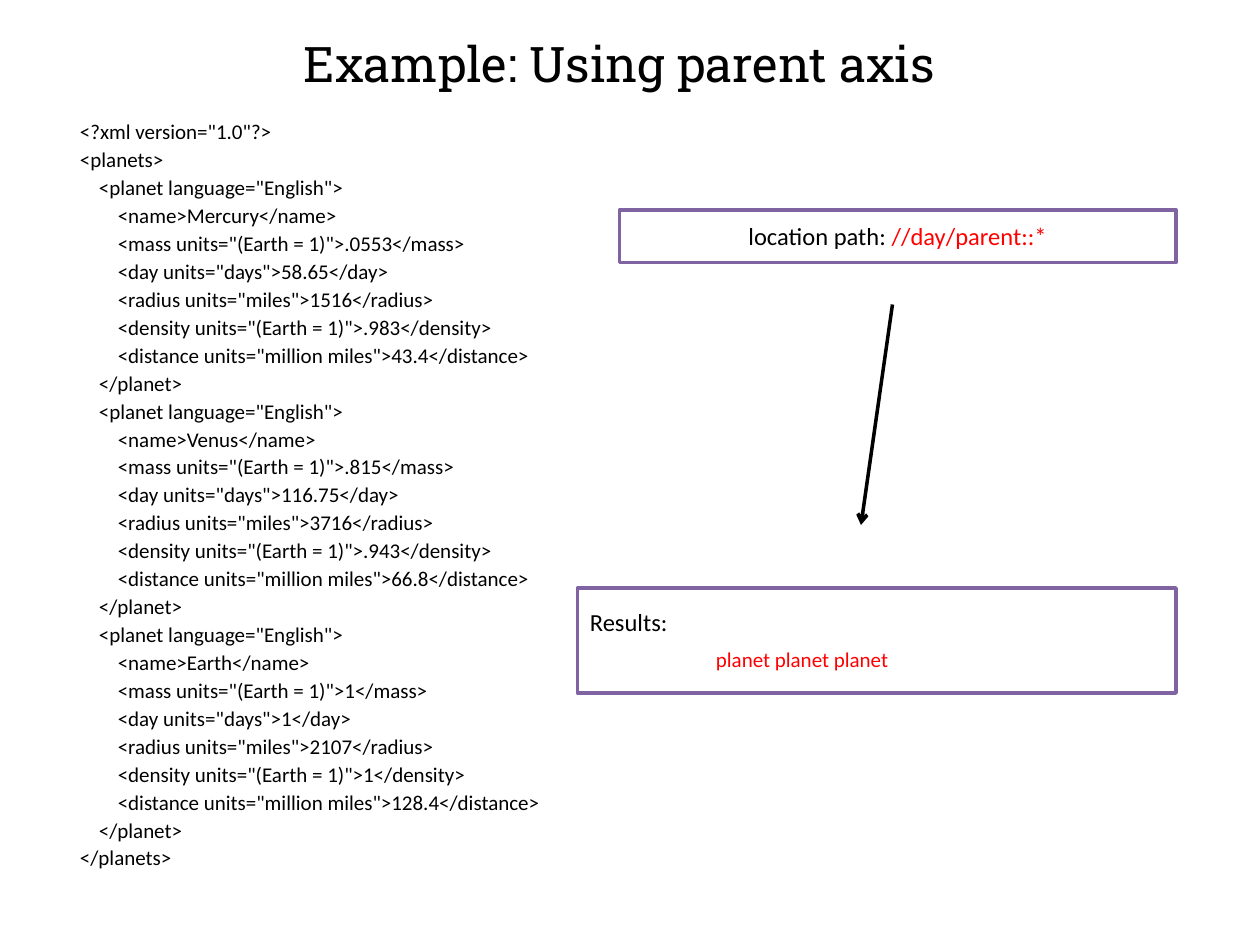
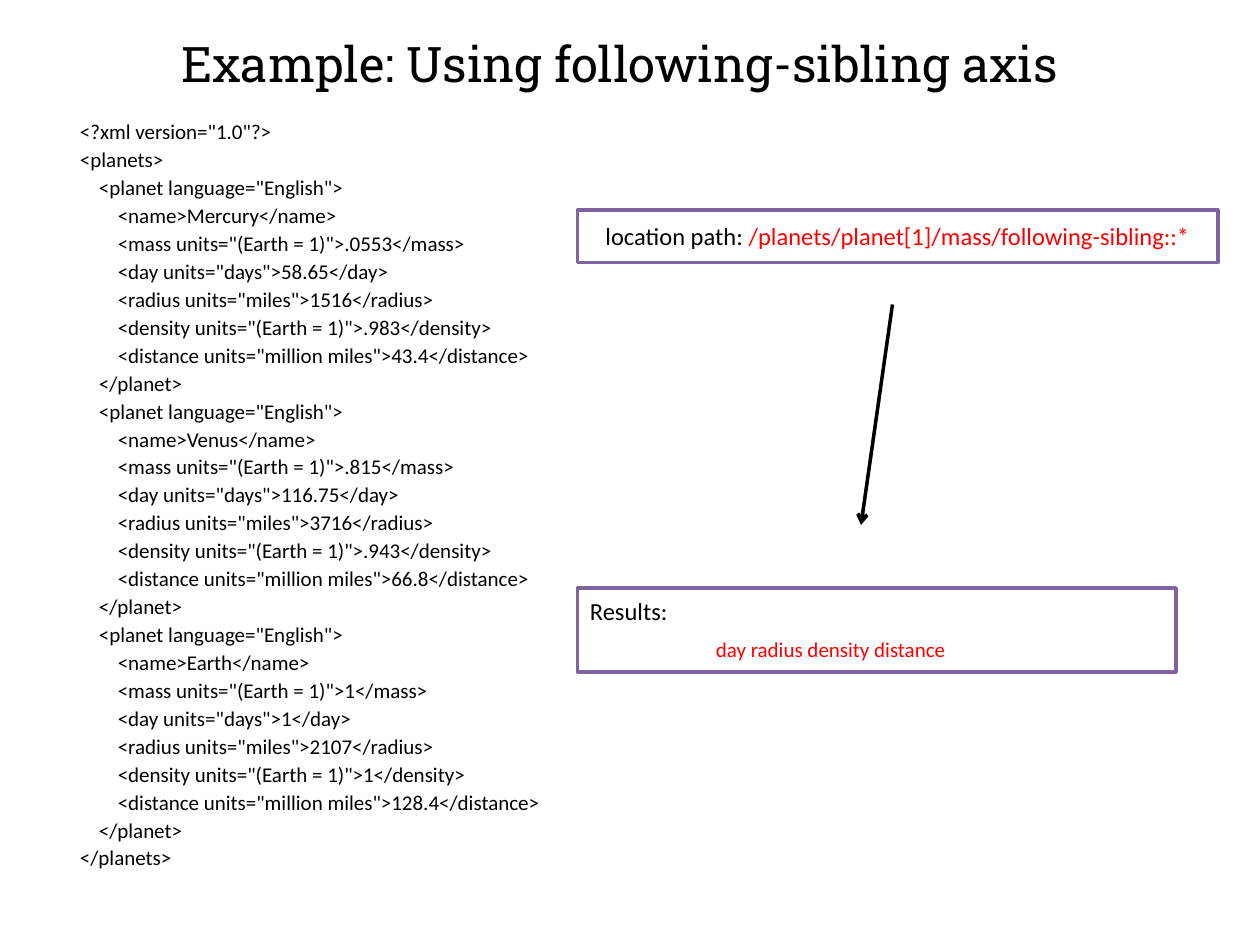
from pptx import Presentation
from pptx.dml.color import RGBColor
from pptx.enum.shapes import MSO_CONNECTOR, MSO_SHAPE
from pptx.enum.text import MSO_ANCHOR, PP_ALIGN
from pptx.oxml.ns import qn
from pptx.util import Inches, Pt
from lxml.etree import SubElement

BLACK = RGBColor(0x00, 0x00, 0x00)
WHITE = RGBColor(0xFF, 0xFF, 0xFF)
RED = RGBColor(0xFF, 0x00, 0x00)
PURPLE = RGBColor(0x80, 0x64, 0xA2)

WIDTH, HEIGHT = Inches(10), Inches(7.5)
COLS = 120
CELL = WIDTH / COLS

TITLE = {"name": "Roboto Slab", "size": Pt(28)}
CODE = {"name": "Calibri", "size": Pt(12)}
LABEL = {"name": "Calibri", "size": Pt(14)}
RESULT_TAB = {"name": "Calibri", "size": Pt(18)}

FIELDS = [("mass", "(Earth = 1)"), ("day", "days"), ("radius", "miles"),
          ("density", "(Earth = 1)"), ("distance", "million miles")]
PLANETS = [
    ("Mercury", ".0553", "58.65", "1516", ".983", "43.4"),
    ("Venus", ".815", "116.75", "3716", ".943", "66.8"),
    ("Earth", "1", "1", "2107", "1", "128.4"),
]

SLIDES = [
    {"title": "Example: Using parent axis",
     "location": "//day/parent::*", "location_box": (59, 20, 53, 5),
     "result": "planet planet planet", "result_box": (55, 56, 57, 10)},
    {"title": "Example: Using following-sibling axis",
     "location": "/planets/planet[1]/mass/following-sibling::*",
     "location_box": (55, 20, 61, 5),
     "result": "day radius density distance", "result_box": (55, 56, 57, 8)},
]


def grid(*cells):
    return [round(c * CELL) for c in cells]


def planet_lines():
    lines = ['<?xml version="1.0"?>', "<planets>"]
    for name, *values in PLANETS:
        lines += ['    <planet language="English">', f"        <name>{name}</name>"]
        lines += [f'        <{tag} units="{units}">{value}</{tag}>'
                  for (tag, units), value in zip(FIELDS, values)]
        lines.append("    </planet>")
    return lines + ["</planets>"]


def add_run(p, text, style, color=BLACK):
    r = p.add_run()
    r.text = text
    for key, value in style.items():
        setattr(r.font, key, value)
    r.font.color.rgb = color


def set_title(s, text):
    sp = s.shapes.title
    sp.left, sp.top, sp.width, sp.height = grid(5, 0, 108, 12)
    tf = sp.text_frame
    tf.vertical_anchor = MSO_ANCHOR.MIDDLE
    p = tf.paragraphs[0]
    p.alignment = PP_ALIGN.CENTER
    add_run(p, text, TITLE)


def add_code(s, lines):
    tf = s.shapes.add_textbox(*grid(5, 11, 108, 76)).text_frame
    tf.word_wrap = True
    for i, line in enumerate(lines):
        p = tf.add_paragraph() if i else tf.paragraphs[0]
        p.line_spacing = 0.9
        p.space_before = Pt(3 if i else 0)
        pPr = p._p.get_or_add_pPr()
        pPr.set("marL", str(Inches(0.4)))
        pPr.set("indent", str(Inches(-0.28)))
        add_run(p, line, CODE)


def add_box(s, cells):
    sp = s.shapes.add_shape(MSO_SHAPE.RECTANGLE, *grid(*cells))
    sp.shadow.inherit = False
    sp.fill.solid()
    sp.fill.fore_color.rgb = WHITE
    sp.line.color.rgb = PURPLE
    sp.line.width = Pt(2)
    tf = sp.text_frame
    tf.word_wrap = True
    tf.vertical_anchor = MSO_ANCHOR.MIDDLE
    return tf


def add_location(s, cells, location):
    p = add_box(s, cells).paragraphs[0]
    p.alignment = PP_ALIGN.CENTER
    add_run(p, "location path: ", LABEL)
    add_run(p, location, LABEL, RED)


def add_results(s, cells, result):
    tf = add_box(s, cells)
    heading, p = tf.paragraphs[0], tf.add_paragraph()
    heading.alignment = p.alignment = PP_ALIGN.LEFT
    add_run(heading, "Results:", LABEL)
    tabs = SubElement(p._p.get_or_add_pPr(), qn("a:tabLst"))
    SubElement(tabs, qn("a:tab"), pos=str(Inches(1)), algn="l")
    add_run(p, "\t", RESULT_TAB, RED)
    add_run(p, result, CODE, RED)


def add_arrow(s, *ends):
    line = s.shapes.add_connector(MSO_CONNECTOR.STRAIGHT, *grid(*ends))
    line.line.color.rgb = BLACK
    line.line.width = Pt(2)
    SubElement(line.line._get_or_add_ln(), qn("a:tailEnd"), type="arrow")
    SubElement(line._element.spPr, qn("a:effectLst"))


def main():
    prs = Presentation()
    prs.slide_width, prs.slide_height = WIDTH, HEIGHT
    for example in SLIDES:
        s = prs.slides.add_slide(prs.slide_layouts[5])
        set_title(s, example["title"])
        add_code(s, planet_lines())
        add_location(s, example["location_box"], example["location"])
        add_results(s, example["result_box"], example["result"])
        add_arrow(s, 85, 29, 82, 50)
    prs.save("out.pptx")


if __name__ == "__main__":
    main()
